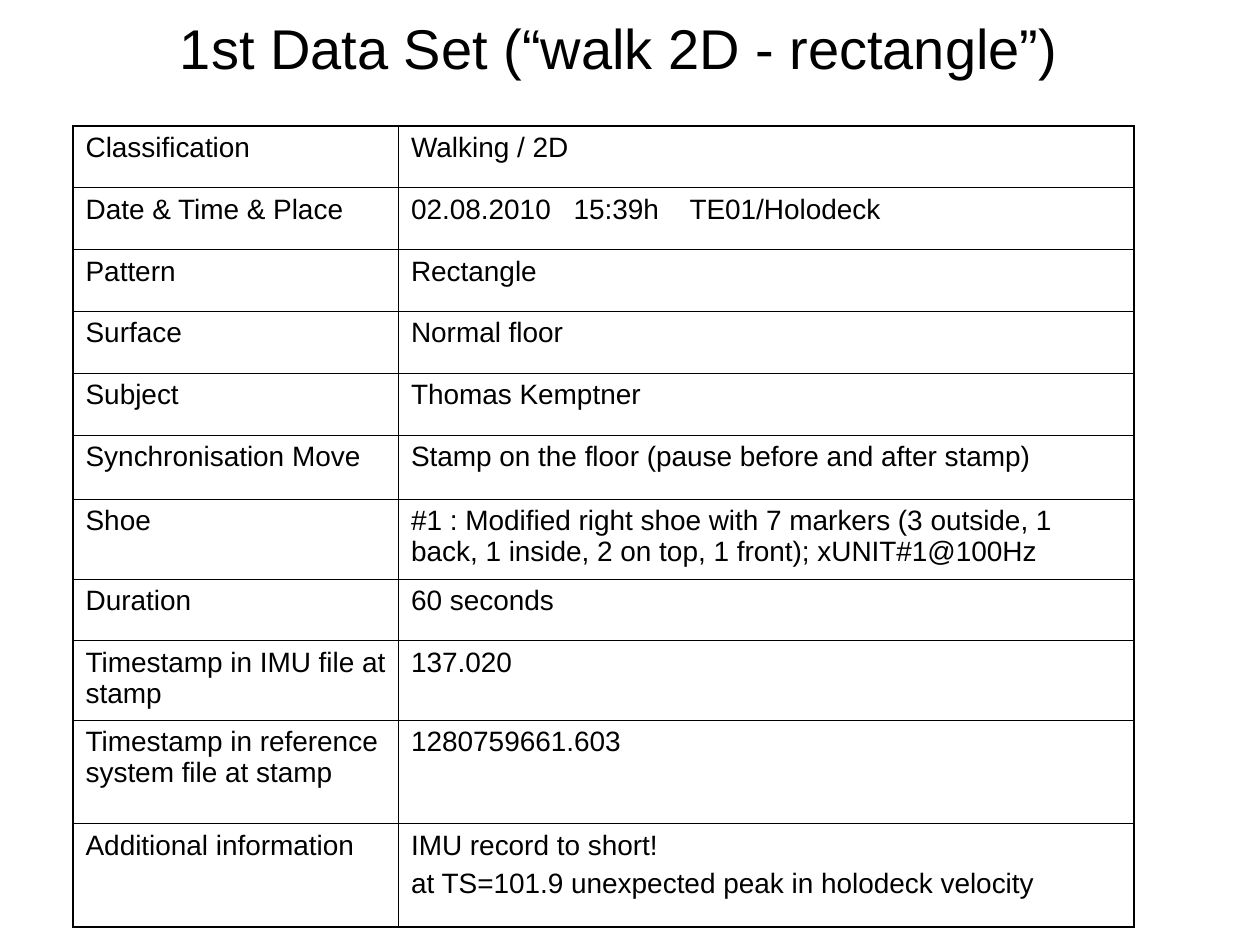
import dataclasses

import pptx
import pptx.dml.color
import pptx.enum.text
import pptx.oxml
import pptx.oxml.ns
import pptx.util

Inches = pptx.util.Inches
Pt = pptx.util.Pt


@dataclasses.dataclass(frozen=True)
class Theme:
    """Colours, font, type sizes and rule weights of the slide."""
    ink: str = "000000"
    paper: str = "FFFFFF"
    font: str = "Arial"
    title_size: int = 32
    body_size: int = 16
    outer_rule: float = 1.08
    inner_rule: float = 0.45


THEME = Theme()
TITLE = "1st Data Set (“walk 2D - rectangle”)"
RECORDS = [
    ("Classification", "Walking / 2D", 0.49),
    ("Date & Time & Place", "02.08.2010\t15:39h\tTE01/Holodeck", 0.49),
    ("Pattern", "Rectangle", 0.49),
    ("Surface", "Normal floor", 0.49),
    ("Subject", "Thomas Kemptner", 0.49),
    ("Synchronisation Move", "Stamp on the floor (pause before and after stamp)", 0.51),
    ("Shoe", "#1 : Modified right shoe with 7 markers (3 outside, 1 back, "
             "1 inside, 2 on top, 1 front); xUNIT#1@100Hz", 0.63),
    ("Duration", "60 seconds", 0.49),
    ("Timestamp in IMU file at stamp", "137.020", 0.63),
    ("Timestamp in reference system file at stamp", "1280759661.603", 0.82),
    ("Additional information",
     "IMU record to short!\nat TS=101.9 unexpected peak in holodeck velocity", 0.82),
]
COLUMN_WIDTHS = (2.58, 5.83)
DATE_TAB_STOPS = (1.29, 2.21)


def write_text(frame, text, size, align=pptx.enum.text.PP_ALIGN.LEFT, space_before=0, tab_stops=()):
    """Fill a text frame with one formatted paragraph per line of text."""
    for index, line in enumerate(text.split("\n")):
        paragraph = frame.add_paragraph() if index else frame.paragraphs[0]
        paragraph.alignment = align
        paragraph.space_before = Pt(space_before if index else 0)
        if tab_stops:
            add_tab_stops(paragraph, tab_stops)
        run = paragraph.add_run()
        run.text = line
        run.font.name = THEME.font
        run.font.size = Pt(size)
        run.font.color.rgb = pptx.dml.color.RGBColor.from_string(THEME.ink)


def add_tab_stops(paragraph, stops):
    """Give a paragraph left tab stops at the given inches."""
    tabs = "".join(f'<a:tab pos="{Inches(stop)}" algn="l"/>' for stop in stops)
    paragraph._p.get_or_add_pPr().append(pptx.oxml.parse_xml(
        f'<a:tabLst {pptx.oxml.ns.nsdecls("a")}>{tabs}</a:tabLst>'))


def rule_cell(cell, **weights):
    """Draw the cell borders, given as L, R, T and B weights in points."""
    properties = cell._tc.get_or_add_tcPr()
    for position, (side, weight) in enumerate(weights.items()):
        properties.insert(position, pptx.oxml.parse_xml(
            f'<a:ln{side} {pptx.oxml.ns.nsdecls("a")} w="{Pt(weight)}">'
            f'<a:solidFill><a:srgbClr val="{THEME.ink}"/></a:solidFill></a:ln{side}>'))


def place_title(slide, left, top, width, height):
    """Place and format the slide title in its box."""
    title = slide.shapes.title
    title.left, title.top, title.width, title.height = left, top, width, height
    frame = title.text_frame
    frame.auto_size = pptx.enum.text.MSO_AUTO_SIZE.NONE
    frame.vertical_anchor = pptx.enum.text.MSO_ANCHOR.MIDDLE
    write_text(frame, TITLE, THEME.title_size, align=pptx.enum.text.PP_ALIGN.CENTER)


def place_records(slide, left, top, width, height):
    """Place the table of recording details in its box."""
    table = slide.shapes.add_table(
        len(RECORDS), len(COLUMN_WIDTHS), left, top, width, height).table
    table.first_row = table.horz_banding = False
    for column, share in zip(table.columns, COLUMN_WIDTHS):
        column.width = int(width * share / sum(COLUMN_WIDTHS))
    last_row = len(RECORDS) - 1
    heavy_lines = (0, last_row, last_row + 1)
    outer, inner = THEME.outer_rule, THEME.inner_rule
    total = sum(record[2] for record in RECORDS)
    for row, (label, value, share) in enumerate(RECORDS):
        table.rows[row].height = int(height * share / total)
        for column, text in enumerate((label, value)):
            cell = table.cell(row, column)
            cell.fill.solid()
            cell.fill.fore_color.rgb = pptx.dml.color.RGBColor.from_string(THEME.paper)
            rule_cell(cell,
                      L=inner if column else outer,
                      R=outer if column else inner,
                      T=outer if row in heavy_lines else inner,
                      B=outer if row + 1 in heavy_lines else inner)
            write_text(cell.text_frame, text, THEME.body_size, space_before=4,
                       tab_stops=DATE_TAB_STOPS if "\t" in text else ())


def main():
    """Build and save the presentation."""
    deck = pptx.Presentation()
    deck.slide_width, deck.slide_height = Inches(10), Inches(7.5)
    slide = deck.slides.add_slide(deck.slide_layouts.get_by_name("Title Only"))
    place_title(slide, Inches(0.25), Inches(0), Inches(9.33), Inches(0.75))
    place_records(slide, Inches(0.58), Inches(1), Inches(8.42), Inches(6.36))
    deck.save("out.pptx")


if __name__ == "__main__":
    main()
